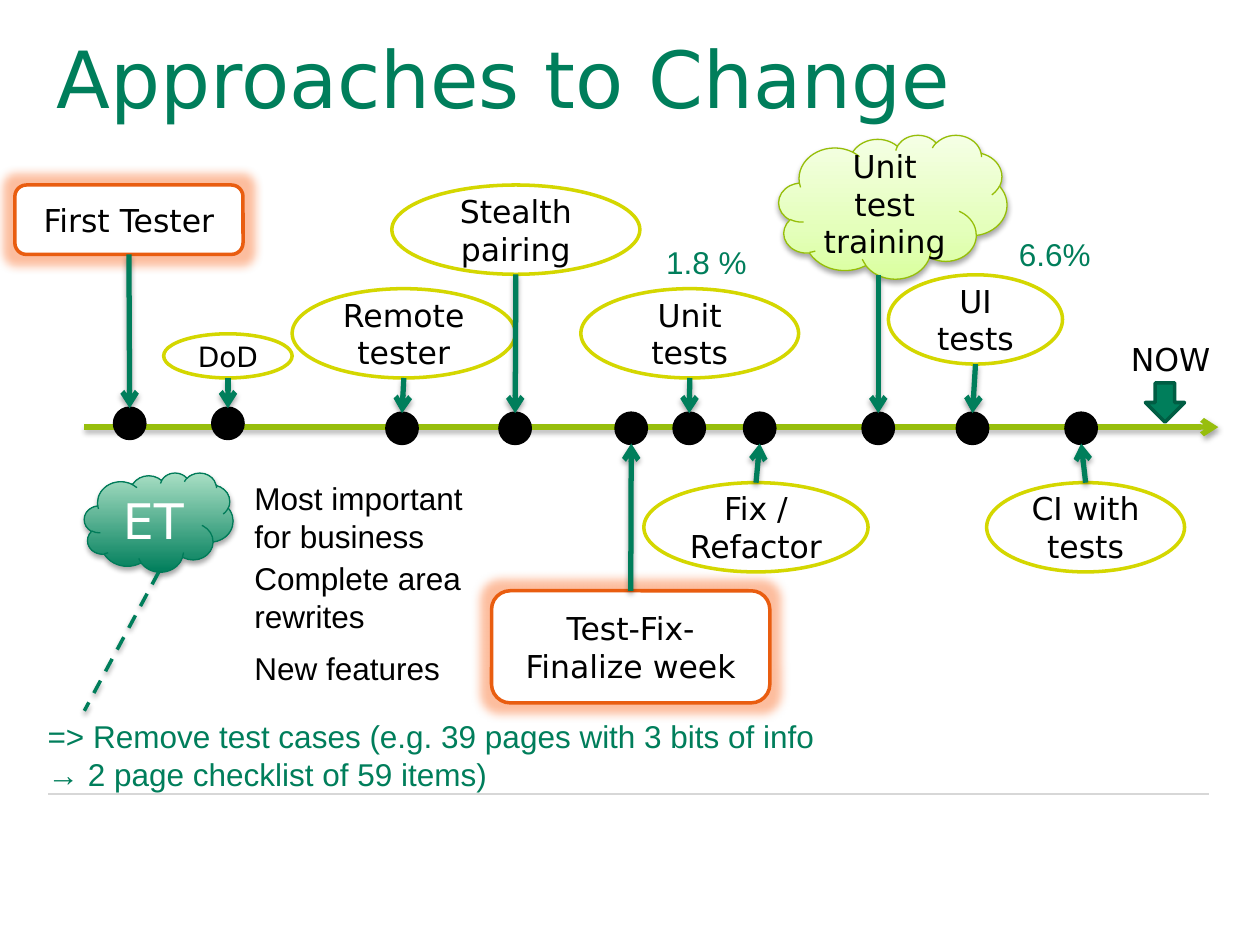
import pptx
import pptx.util
import pptx.dml.color
import pptx.enum.dml
import pptx.enum.shapes
import pptx.enum.text
import pptx.oxml
import pptx.oxml.ns
from lxml import etree

Cm, Pt = pptx.util.Cm, pptx.util.Pt
KIND = pptx.enum.shapes.MSO_SHAPE
ALIGN = pptx.enum.text.PP_ALIGN
ANCHOR = pptx.enum.text.MSO_ANCHOR
qn = pptx.oxml.ns.qn
NS = pptx.oxml.ns.nsdecls("a")

GREEN, LIME, YELLOW = "007E5B", "97BE0D", "D4D700"
ORANGE, BLACK, WHITE = "E95D10", "000000", "FFFFFF"
SANS, ARIAL = "DejaVu Sans", "Arial"
SHADE = (f'<a:outerShdw {NS} blurRad="39370" dist="22860" dir="5400000" rotWithShape="0">'
         '<a:srgbClr val="000000"><a:alpha val="35000"/></a:srgbClr></a:outerShdw>')
GLOW = (f'<a:glow {NS} rad="139700"><a:srgbClr val="FB6E28">'
        '<a:alpha val="45000"/></a:srgbClr></a:glow>')
DOT = 0.61

# Text, kind, left, top, width, height, left and top of its dot, size
EVENTS = [
    ("First Tester", "key", 0, 1.01, 4.6, 1.4, 2.01, 5.51, 18),
    ("Test-Fix-Finalize week", "key", 9.61, 9.19, 5.61, 2.26, 12.12, 5.61, 18),
    ("Remote tester", "step", 5.59, 3.1, 4.5, 1.8, 7.5, 5.61, 18),
    ("Unit tests", "step", 11.41, 3.1, 4.39, 1.8, 13.29, 5.61, 18),
    ("Stealth pairing", "step", 7.6, 1.01, 5, 1.8, 9.78, 5.61, 18),
    ("UI tests", "step", 17.61, 2.82, 3.51, 1.8, 19, 5.61, 18),
    ("Fix / Refactor", "step", 12.68, 7.01, 4.52, 1.8, 14.71, 5.61, 18),
    ("Unit test training", "cloud", 15.4, 0, 4.6, 2.9, 17.1, 5.61, 18),
    ("CI with tests", "step", 19.59, 7.01, 3.99, 1.8, 21.19, 5.61, 18),
    ("DoD", "step", 3, 4.01, 2.59, 0.89, 3.99, 5.51, 16),
]


def color(code):
    return pptx.dml.color.RGBColor.from_string(code)


def effect(shape, xml):
    props = shape.element.spPr
    group = props.find(qn("a:effectLst"))
    if group is None:
        group = etree.SubElement(props, qn("a:effectLst"))
    if xml:
        group.append(pptx.oxml.parse_xml(xml))


def write(shape, text, size, font, ink, align):
    frame = shape.text_frame
    frame.word_wrap = True
    frame.text = text
    para = frame.paragraphs[0]
    para.alignment = align
    for run in para.runs:
        run.font.size, run.font.name = Pt(size), font
        run.font.color.rgb = color(ink)


def label(slide, text, x, y, w, h, font=ARIAL, ink=BLACK, align=ALIGN.LEFT):
    box = slide.shapes.add_textbox(Cm(x), Cm(y), Cm(w), Cm(h))
    write(box, text, 18, font, ink, align)


def block(slide, kind, x, y, w, h, fill, edge, width=2):
    shape = slide.shapes.add_shape(kind, Cm(x), Cm(y), Cm(w), Cm(h))
    shape.shadow.inherit = False
    shape.fill.solid()
    shape.fill.fore_color.rgb = color(fill)
    shape.line.color.rgb = color(edge)
    shape.line.width = Pt(width)
    return shape


def cloud(slide, x, y, w, h, stops, edge):
    shape = block(slide, KIND.CLOUD, x, y, w, h, WHITE, edge, 0.75)
    shape.fill.gradient()
    shape.fill.gradient_angle = 90
    group = shape.element.spPr.find(".//" + qn("a:gsLst"))
    for old in list(group):
        group.remove(old)
    for pos, code in stops:
        stop = etree.SubElement(group, qn("a:gs"), pos=str(pos * 1000))
        etree.SubElement(stop, qn("a:srgbClr"), val=code)
    effect(shape, SHADE)
    return shape


def wire(slide, x1, y1, x2, y2, ink=GREEN, width=3, head=True, dash=False, shade=True):
    line = slide.shapes.add_connector(pptx.enum.shapes.MSO_CONNECTOR.STRAIGHT,
                                      Cm(x1), Cm(y1), Cm(x2), Cm(y2))
    line.line.color.rgb = color(ink)
    line.line.width = Pt(width)
    if dash:
        line.line.dash_style = pptx.enum.dml.MSO_LINE.DASH
    if head:
        etree.SubElement(line.element.spPr.find(qn("a:ln")), qn("a:tailEnd"), type="arrow")
    effect(line, SHADE if shade else None)
    return line


def title(slide, x, y, w, h):
    head = slide.shapes.title
    head.left, head.top, head.width, head.height = Cm(x), Cm(y), Cm(w), Cm(h)
    write(head, "Approaches to Change", 45, SANS, GREEN, ALIGN.LEFT)
    head.text_frame.auto_size = pptx.enum.text.MSO_AUTO_SIZE.NONE
    head.text_frame.vertical_anchor = ANCHOR.TOP
    head.text_frame.paragraphs[0].line_spacing = 0.85


def event(slide, text, kind, x, y, w, h, dot_x, dot_y, size):
    start = x + w / 2
    if kind == "key":
        shape = block(slide, KIND.ROUNDED_RECTANGLE, x, y, w, h, WHITE, ORANGE)
        effect(shape, GLOW)
    elif kind == "step":
        shape = block(slide, KIND.OVAL, x, y, w, h, WHITE, YELLOW)
    else:
        shape = cloud(slide, x, y, w, h,
                      [(0, "DAFF9F"), (35, "E4FFBB"), (100, "F5FFE5")], "96BE08")
        start = dot_x + DOT / 2
    write(shape, text, size, SANS, BLACK, ALIGN.CENTER)
    shape.text_frame.vertical_anchor = ANCHOR.MIDDLE

    # Arrow from the event to its dot
    block(slide, KIND.OVAL, dot_x, dot_y, DOT, DOT, BLACK, BLACK)
    above = y < dot_y
    low = y + h - (0.08 if kind == "cloud" else 0)
    begin, end = (low, dot_y) if above else (y, dot_y + DOT)
    line = wire(slide, start, begin, dot_x + DOT / 2, end)
    if kind == "key":
        line.begin_connect(shape, 2 if above else 0)


def timeline(slide, x, y, w):
    # Axis
    wire(slide, x + 1.4, y + 5.89, x + w, y + 5.89, LIME)
    for text, kind, dx, dy, ew, eh, dot_x, dot_y, size in EVENTS:
        event(slide, text, kind, x + dx, y + dy, ew, eh, x + dot_x, y + dot_y, size)
    # Present day and coverage figures
    block(slide, KIND.DOWN_ARROW, x + 22.79, y + 5, 0.79, 0.79, GREEN, "005D43")
    label(slide, "NOW", x + 21.8, y + 4.01, 3, 1.02, SANS, align=ALIGN.CENTER)
    label(slide, "1.8 %", x + 12.88, y + 2.06, 2.51, 1.02, ink=GREEN)
    label(slide, "6.6%", x + 19.99, y + 1.9, 2.51, 1.02, ink=GREEN)


def notes(slide, x, y, w):
    shape = cloud(slide, x + 0.99, y, 3, 2, [(0, GREEN), (100, "A9DFC4")], "007B59")
    write(shape, "ET", 28, SANS, WHITE, ALIGN.CENTER)
    shape.text_frame.vertical_anchor = ANCHOR.MIDDLE
    for text, dy, h in [("Most important for business", 0, 1.8),
                        ("Complete area rewrites", 1.62, 1.8),
                        ("New features", 3.42, 1.02)]:
        label(slide, text, x + 4.17, y + dy, 5, h)
    label(slide, "=> Remove test cases (e.g. 39 pages with 3 bits of info "
          "→ 2 page checklist of 59 items)", x, y + 4.8, w, 1.8, ink=GREEN)
    wire(slide, x + 2.49, y + 2, x + 0.99, y + 4.8, width=2, head=False, dash=True)


def main():
    deck = pptx.Presentation()
    deck.slide_width, deck.slide_height = Cm(25.4), Cm(19.05)
    slide = deck.slides.add_slide(deck.slide_layouts[5])
    # Footer rule
    wire(slide, 0.97, 16, 24.38, 16, "D7D7D7", 1, head=False, shade=False)
    title(slide, 0.89, 0.76, 23.47, 3.18)
    timeline(slide, 0.3, 2.72, 24.26)
    notes(slide, 0.71, 9.53, 16.51)
    deck.save("out.pptx")


if __name__ == "__main__":
    main()
